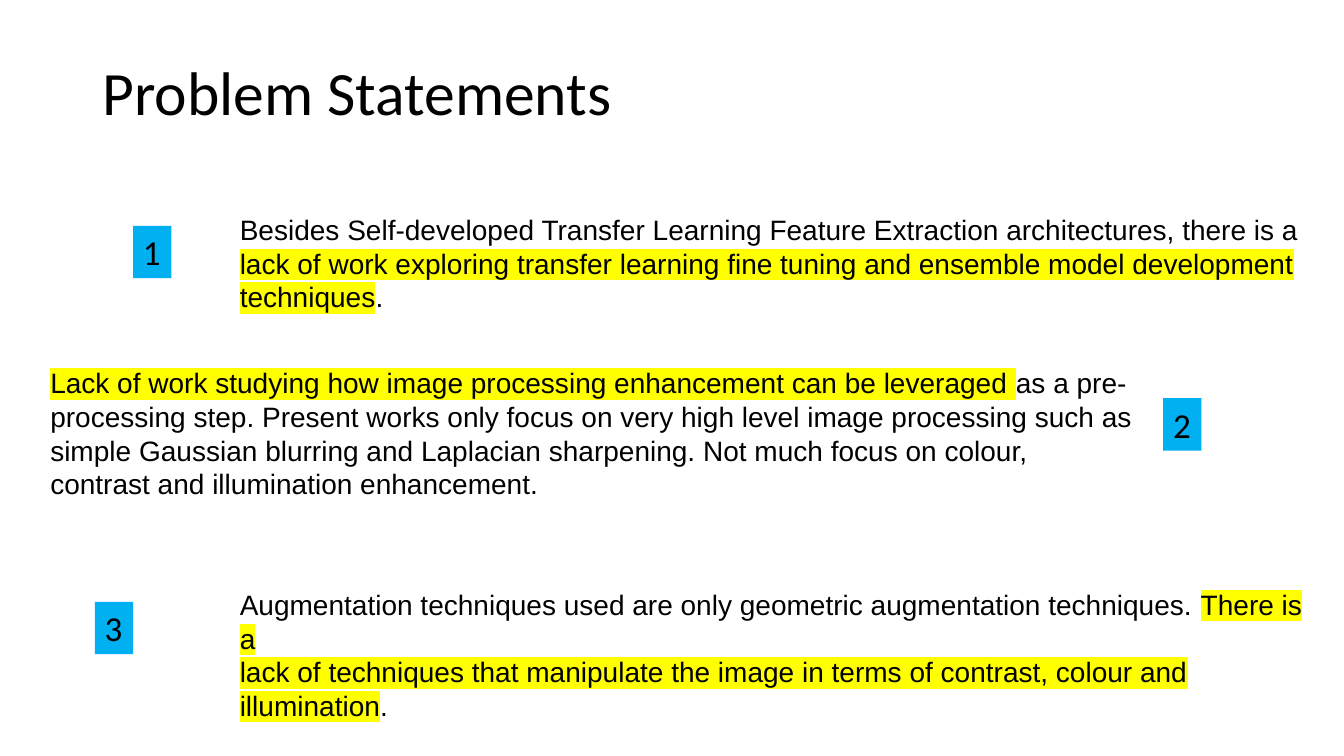
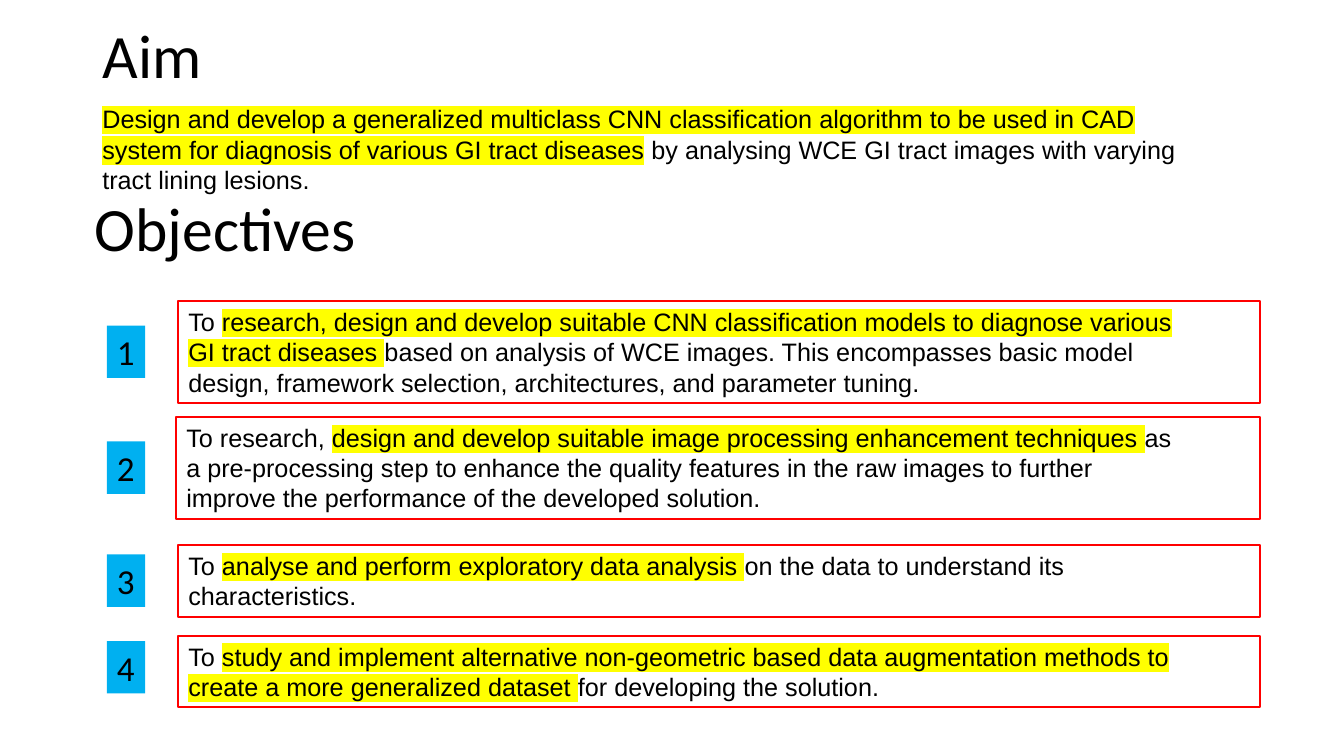
from dataclasses import dataclass

from lxml.etree import SubElement
from pptx import Presentation
from pptx.dml.color import RGBColor
from pptx.enum.shapes import MSO_SHAPE
from pptx.enum.text import MSO_ANCHOR, MSO_AUTO_SIZE, PP_ALIGN
from pptx.oxml.ns import qn
from pptx.util import Inches, Pt

COLS, ROWS = 160, 90


@dataclass(frozen=True)
class Theme:
    ink: str = "000000"
    mark: str = "FFFF00"
    badge: str = "00B0F0"
    frame: str = "FF0000"
    head: str = "Calibri"
    body: str = "Arial"
    title: int = 44
    digit: int = 25
    large: int = 20
    small: int = 18
    edge: float = 1.5


class Deck:
    """Holds the style and the current slide; lengths are grid columns and rows."""

    def __init__(self, theme):
        self.theme = theme
        self.prs = Presentation()
        self.prs.slide_width = Inches(13.33)
        self.prs.slide_height = Inches(7.5)
        self.slide = None

    def area(self, x, y, w, h):
        col = self.prs.slide_width / COLS
        row = self.prs.slide_height / ROWS
        return round(x * col), round(y * row), round(w * col), round(h * row)

    def run(self, para, text, font, size, marked=False):
        run = para.add_run()
        run.text = text
        run.font.size = Pt(size)
        run.font.color.rgb = RGBColor.from_string(self.theme.ink)
        if marked:
            light = SubElement(run.font._element, qn("a:highlight"))
            SubElement(light, qn("a:srgbClr")).set("val", self.theme.mark)
        run.font.name = font

    def fill(self, shape, parts, font, size, anchor=MSO_ANCHOR.TOP, wrap=True):
        """Write parts in turn as plain and marked text; a newline breaks the line."""
        frame = shape.text_frame
        frame.word_wrap = wrap
        frame.auto_size = MSO_AUTO_SIZE.NONE
        frame.vertical_anchor = anchor
        para = frame.paragraphs[0]
        para.alignment = PP_ALIGN.LEFT
        for i, part in enumerate(parts):
            for j, line in enumerate(part.split("\n")):
                if j:
                    para.add_line_break()
                if line:
                    self.run(para, line, font, size, marked=i % 2 == 1)
        return para

    def head(self, shape, text, box, gap):
        shape.left, shape.top, shape.width, shape.height = self.area(*box)
        para = self.fill(shape, [text], self.theme.head, self.theme.title,
                         MSO_ANCHOR.MIDDLE)
        para.line_spacing = gap

    def page(self, title, y, h):
        self.slide = self.prs.slides.add_slide(self.prs.slide_layouts[5])
        self.head(self.slide.shapes.title, title, (11, y, 138, h), 0.9)

    def second(self, text, box):
        shape = self.slide.shapes.add_textbox(*self.area(*box))
        self.head(shape, text, box, 0.8)

    def text(self, parts, box, size):
        shape = self.slide.shapes.add_textbox(*self.area(*box))
        self.fill(shape, parts, self.theme.body, size)

    def rect(self, box):
        shape = self.slide.shapes.add_shape(MSO_SHAPE.RECTANGLE, *self.area(*box))
        shape.shadow.inherit = False
        return shape

    def badge(self, num, x, y):
        shape = self.rect((x, y, 4.56, 6.24))
        shape.fill.solid()
        shape.fill.fore_color.rgb = RGBColor.from_string(self.theme.badge)
        shape.line.fill.background()
        self.fill(shape, [str(num)], self.theme.head, self.theme.digit, wrap=False)

    def panel(self, parts, x, y):
        """Draw a framed text from x to the right edge, as high as its lines need."""
        lines = "".join(parts).count("\n") + 1
        shape = self.rect((x, y, 150 - x, 3.6 * lines + 1.3))
        shape.fill.background()
        shape.line.color.rgb = RGBColor.from_string(self.theme.frame)
        shape.line.width = Pt(self.theme.edge)
        self.fill(shape, parts, self.theme.body, self.theme.small)


# Text place (x, y, height), badge place (x, y), parts
ISSUES = [
    ((27.36, 24.72, 9.24), (15.84, 26.88),
     ["Besides Self-developed Transfer Learning Feature Extraction architectures, "
      "there is a ",
      "lack of work exploring transfer learning fine tuning and ensemble model "
      "development techniques",
      "."]),
    ((4.8, 42.96, 17.4), (138.48, 47.4),
     ["",
      "Lack of work studying how image processing enhancement can be leveraged ",
      "as a pre-processing step. Present works only focus on very high level image "
      "processing such as simple Gaussian blurring and Laplacian sharpening. Not "
      "much focus on colour, contrast and illumination enhancement."]),
    ((27.36, 69.36, 9.24), (11.28, 71.64),
     ["Augmentation techniques used are only geometric augmentation techniques. ",
      "There is a\nlack of techniques that manipulate the image in terms of "
      "contrast, colour and illumination",
      "."]),
]

AIM = ["",
       "Design and develop a generalized multiclass CNN classification algorithm to "
       "be used in CAD system for diagnosis of various GI tract diseases",
       " by analysing WCE GI tract images with varying tract lining lesions."]

# Panel x and y, badge y, parts
GOALS = [
    (21.24, 35.88, 38.76,
     ["To ",
      "research, design and develop suitable CNN classification models to diagnose "
      "various\nGI tract diseases ",
      "based on analysis of WCE images. This encompasses basic model\ndesign, "
      "framework selection, architectures, and parameter tuning."]),
    (21, 49.68, 52.56,
     ["To research, ",
      "design and develop suitable image processing enhancement techniques ",
      "as\na pre-processing step to enhance the quality features in the raw images "
      "to further\nimprove the performance of the developed solution."]),
    (21.24, 64.92, 66,
     ["To ",
      "analyse and perform exploratory data analysis ",
      "on the data to understand its\ncharacteristics."]),
    (21.24, 75.72, 76.32,
     ["To ",
      "study and implement alternative non-geometric based data augmentation "
      "methods to\ncreate a more generalized dataset ",
      "for developing the solution."]),
]


def issues(deck):
    deck.page("Problem Statements", 4.92, 13)
    for num, ((x, y, h), spot, parts) in enumerate(ISSUES, 1):
        deck.text(parts, (x, y, 131.28, h), deck.theme.large)
        deck.badge(num, *spot)


def goals(deck):
    deck.page("Aim", 2.16, 9.72)
    deck.text(AIM, (11, 11.76, 131.28, 8.52), deck.theme.small)
    deck.second("Objectives", (10.08, 23.52, 138, 8.64))
    for num, (x, y, top, parts) in enumerate(GOALS, 1):
        deck.panel(parts, x, y)
        deck.badge(num, 12.72, top)


def main():
    deck = Deck(Theme())
    issues(deck)
    goals(deck)
    deck.prs.save("out.pptx")


if __name__ == "__main__":
    main()
